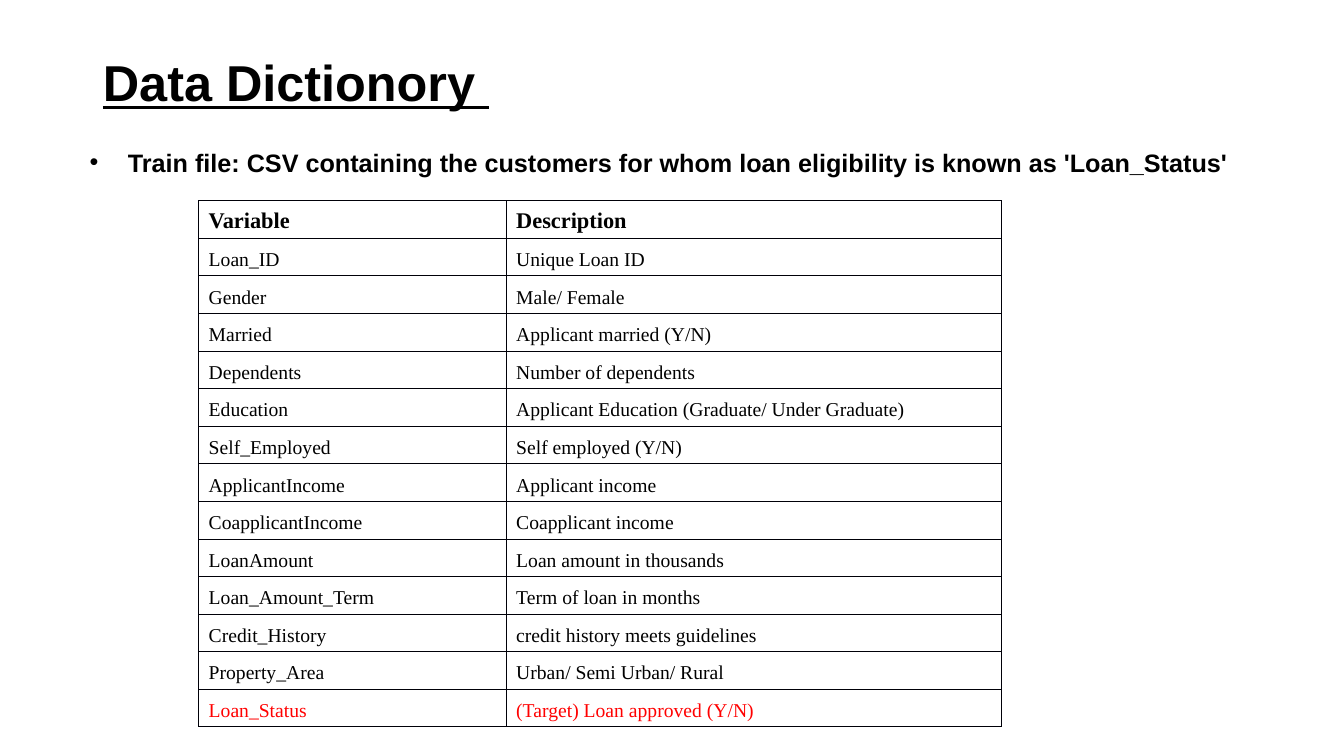
"""Build the data dictionary slide with its table of loan variables."""
import dataclasses
import typing

import pptx
import pptx.dml.color
import pptx.enum.text
import pptx.oxml
import pptx.oxml.ns
import pptx.util

Inches = pptx.util.Inches


@dataclasses.dataclass(frozen=True)
class Theme:
    ink: str = "000000"
    target: str = "FF0000"
    border: str = "000008"
    heading_font: str = "Arial"
    table_font: str = "Times New Roman"
    title_size: int = 36
    body_size: int = 18
    header_size: int = 16
    cell_size: int = 14
    border_width: float = 0.5


class Variable(typing.NamedTuple):
    name: str
    description: str
    color: str


THEME = Theme()
HEADER = Variable("Variable", "Description", THEME.ink)
VARIABLES = [
    Variable("Loan_ID", "Unique Loan ID", THEME.ink),
    Variable("Gender", "Male/ Female", THEME.ink),
    Variable("Married", "Applicant married (Y/N)", THEME.ink),
    Variable("Dependents", "Number of dependents", THEME.ink),
    Variable("Education", "Applicant Education (Graduate/ Under Graduate)", THEME.ink),
    Variable("Self_Employed", "Self employed (Y/N)", THEME.ink),
    Variable("ApplicantIncome", "Applicant income", THEME.ink),
    Variable("CoapplicantIncome", "Coapplicant income", THEME.ink),
    Variable("LoanAmount", "Loan amount in thousands", THEME.ink),
    Variable("Loan_Amount_Term", "Term of loan in months", THEME.ink),
    Variable("Credit_History", "credit history meets guidelines", THEME.ink),
    Variable("Property_Area", "Urban/ Semi Urban/ Rural", THEME.ink),
    Variable("Loan_Status", "(Target) Loan approved (Y/N)", THEME.target),
]


def write(frame, text: str, *, size: int, font: str, color: str = THEME.ink,
          bold: bool = False, underline: bool = False):
    para = frame.paragraphs[0]
    para.alignment = pptx.enum.text.PP_ALIGN.LEFT
    span = para.add_run()
    span.text = text
    span.font.size = pptx.util.Pt(size)
    span.font.name = font
    span.font.bold = bold
    span.font.underline = underline
    span.font.color.rgb = pptx.dml.color.RGBColor.from_string(color)
    return para


def add_title(slide) -> None:
    title = slide.shapes.title
    title.left, title.top = Inches(0.92), Inches(0.21)
    title.width, title.height = Inches(11.5), Inches(1.2)
    title.text_frame.vertical_anchor = pptx.enum.text.MSO_ANCHOR.MIDDLE
    write(title.text_frame, "Data Dictionory ", size=THEME.title_size,
          font=THEME.heading_font, bold=True, underline=True)


def add_summary(slide) -> None:
    box = slide.shapes.add_textbox(Inches(0.79), Inches(1.41), Inches(11.62), Inches(5.73))
    box.text_frame.word_wrap = True
    para = write(
        box.text_frame,
        "Train file: CSV containing the customers for whom loan eligibility is known as 'Loan_Status'",
        size=THEME.body_size, font=THEME.heading_font, bold=True)
    para.space_before = pptx.util.Pt(3.6)
    properties = para._p.get_or_add_pPr()
    properties.set("marL", str(Inches(0.38)))
    properties.set("indent", str(Inches(-0.38)))
    namespace = pptx.oxml.ns.nsdecls("a")
    properties.append(pptx.oxml.parse_xml(f'<a:buFont {namespace} typeface="{THEME.heading_font}"/>'))
    properties.append(pptx.oxml.parse_xml(f'<a:buChar {namespace} char="•"/>'))


def add_borders(cell) -> None:
    properties = cell._tc.get_or_add_tcPr()
    width = pptx.util.Pt(THEME.border_width)
    for side in ("lnL", "lnR", "lnT", "lnB"):
        properties.append(pptx.oxml.parse_xml(
            f'<a:{side} {pptx.oxml.ns.nsdecls("a")} w="{width}"><a:solidFill>'
            f'<a:srgbClr val="{THEME.border}"/></a:solidFill></a:{side}>'))


def fill_row(table, row: int, variable: Variable, *, size: int, bold: bool = False) -> None:
    for column, text in enumerate((variable.name, variable.description)):
        cell = table.cell(row, column)
        cell.vertical_anchor = pptx.enum.text.MSO_ANCHOR.BOTTOM
        add_borders(cell)
        cell.fill.background()
        write(cell.text_frame, text, size=size, font=THEME.table_font,
              color=variable.color, bold=bold)


def add_dictionary(slide) -> None:
    table = slide.shapes.add_table(
        len(VARIABLES) + 1, 2, Inches(1.97), Inches(1.99), Inches(7.96), Inches(5.22)).table
    table.first_row = table.horz_banding = False
    table.columns[0].width, table.columns[1].width = Inches(3.05), Inches(4.91)
    fill_row(table, 0, HEADER, size=THEME.header_size, bold=True)
    for row, variable in enumerate(VARIABLES, start=1):
        fill_row(table, row, variable, size=THEME.cell_size)


def main() -> None:
    deck = pptx.Presentation()
    deck.slide_width, deck.slide_height = Inches(13.33), Inches(7.5)
    page = deck.slides.add_slide(deck.slide_layouts.get_by_name("Title Only"))
    add_title(page)
    add_summary(page)
    add_dictionary(page)
    deck.save("out.pptx")


if __name__ == "__main__":
    main()
